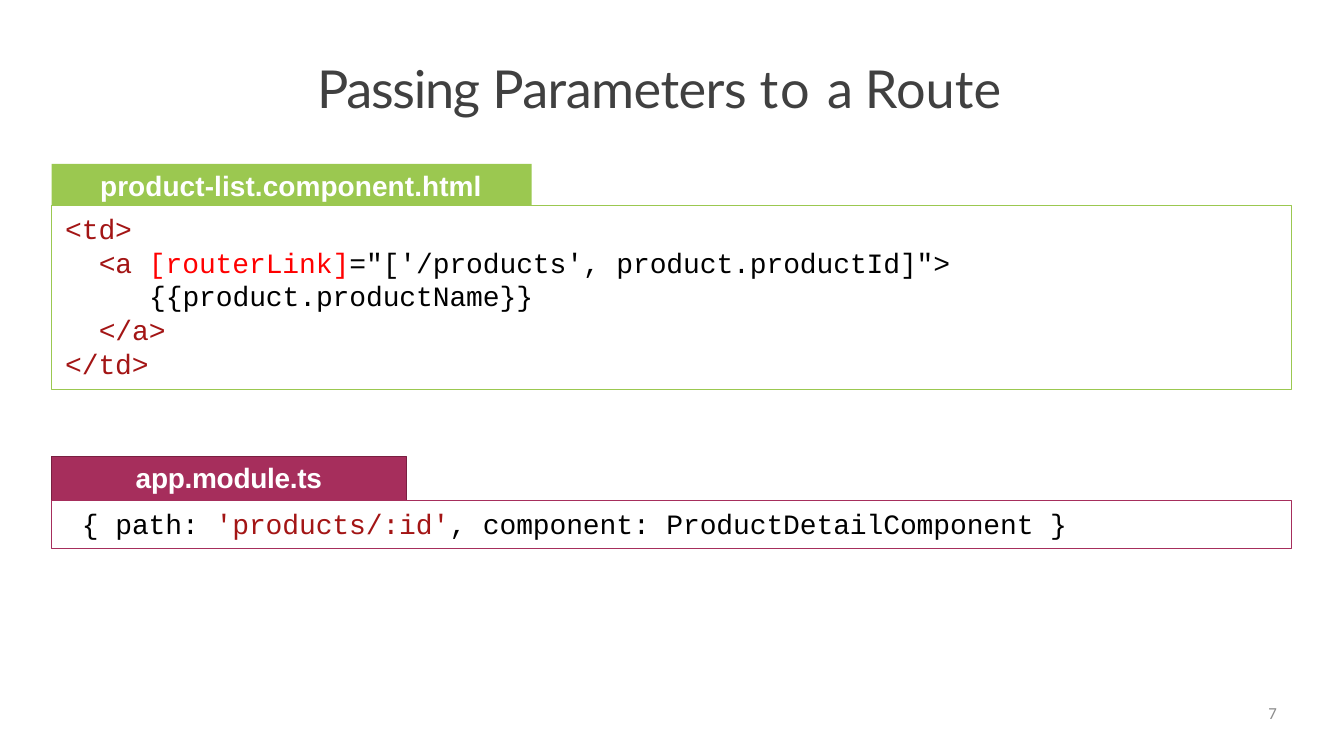
import pptx
import pptx.util
import pptx.dml.color
import pptx.enum.shapes
import pptx.enum.text
from pptx.util import Inches

COLORS = {
    "title": "404040", "white": "FFFFFF", "green": "9BC850",
    "plum": "A62E5C", "plum_dark": "791F41", "tag": "A31515",
    "attribute": "FF0000", "code": "000000", "number": "8C8C8C",
}


def rgb(name):
    return pptx.dml.color.RGBColor.from_string(COLORS[name])


def set_frame(tf, left=0, top=0):
    tf.word_wrap = True
    tf.auto_size = pptx.enum.text.MSO_AUTO_SIZE.NONE
    tf.vertical_anchor = pptx.enum.text.MSO_ANCHOR.TOP
    tf.margin_left, tf.margin_top = Inches(left), Inches(top)
    tf.margin_right = tf.margin_bottom = 0


def format_paragraph(p, indent=0, before=0, align=pptx.enum.text.PP_ALIGN.LEFT):
    p.alignment = align
    p.space_before = pptx.util.Pt(before)
    pPr = p._p.get_or_add_pPr()
    pPr.set("marL", str(Inches(indent)))
    pPr.set("indent", "0")


def add_run(p, text, font, size, color, spacing=0, bold=False):
    """Add a run; spacing is the tracking in points."""
    r = p.add_run()
    r.text = text
    r.font.name, r.font.size, r.font.bold = font, pptx.util.Pt(size), bold
    r.font.color.rgb = rgb(color)
    r._r.get_or_add_rPr().set("spc", str(round(spacing * 100)))


def add_box(s, left, top, width, height, fill=None, line=None):
    sp = s.shapes.add_shape(pptx.enum.shapes.MSO_SHAPE.RECTANGLE, Inches(left),
                            Inches(top), Inches(width), Inches(height))
    sp.shadow.inherit = False
    if fill:
        sp.fill.solid()
        sp.fill.fore_color.rgb = rgb(fill)
    else:
        sp.fill.background()
    if line:
        sp.line.color.rgb = rgb(line)
        sp.line.width = pptx.util.Pt(1)
    else:
        sp.line.fill.background()
    return sp


def add_title(s, left, top, width, height, words):
    sp = s.shapes.title
    sp.left, sp.top = Inches(left), Inches(top)
    sp.width, sp.height = Inches(width), Inches(height)
    set_frame(sp.text_frame, top=0.01)
    p = sp.text_frame.paragraphs[0]
    format_paragraph(p, indent=0.01, before=1)
    for text, spacing in words:
        add_run(p, text, "Lato", 56, "title", spacing)


def add_file_tab(s, left, top, width, height, name, fill, indent, inset, before,
                 spacing, line=None):
    tf = add_box(s, left, top, width, height, fill, line).text_frame
    set_frame(tf, top=inset)
    p = tf.paragraphs[0]
    format_paragraph(p, indent, before)
    add_run(p, name, "Arial", 30, "white", spacing, bold=True)


def add_code(s, left, top, width, height, line, lines, inset, before):
    """Outlined box of code; each line is an indent and its (text, color) runs."""
    tf = add_box(s, left, top, width, height, line=line).text_frame
    set_frame(tf, *inset)
    for i, (indent, runs) in enumerate(lines):
        p = tf.add_paragraph() if i else tf.paragraphs[0]
        format_paragraph(p, indent, 0 if i else before)
        for text, color in runs:
            add_run(p, text, "Courier New", 30, color, -0.1)


def add_slide_number(s, left, top, width, height, number):
    tf = s.shapes.add_textbox(Inches(left), Inches(top), Inches(width),
                              Inches(height)).text_frame
    set_frame(tf)
    p = tf.paragraphs[0]
    format_paragraph(p, align=pptx.enum.text.PP_ALIGN.RIGHT)
    add_run(p, number, "Calibri", 18, "number")


def main():
    prs = pptx.Presentation()
    prs.slide_width, prs.slide_height = Inches(20), Inches(11.25)
    s = prs.slides.add_slide(prs.slide_layouts[5])
    left, width = 0.77, 18.45

    add_title(s, 4.71, 0.82, 10.58, 0.96, [
        ("Passing ", -1.4), ("Parameters ", -0.6), ("to ", 2.1),
        ("a ", -1.7), ("Route", 0.1)])

    add_file_tab(s, left, 2.44, 7.14, 0.62, "product-list.component.html",
                 "green", indent=0.72, inset=0.07, before=4.7, spacing=0.1)
    add_code(s, left, 3.06, width, 2.73, "green", [
        (0, [("<td>", "tag")]),
        (0.5, [("<a ", "tag"), ("[routerLink]", "attribute"),
               ("=\"['/products', product.productId]\">", "code")]),
        (1.25, [("{{product.productName}}", "code")]),
        (0.5, [("</a>", "tag")]),
        (0, [("</td>", "tag")]),
    ], inset=(0.2, 0.09), before=1)

    add_file_tab(s, left, 6.79, 5.28, 0.66, "app.module.ts", "plum",
                 indent=1.25, inset=0.06, before=4.2, spacing=-0.3,
                 line="plum_dark")
    add_code(s, left, 7.45, width, 0.71, "plum", [
        (0.45, [("{ path: ", "code"), ("'products/:id'", "tag"),
                (", component: ProductDetailComponent }", "code")]),
    ], inset=(0, 0.08), before=6.1)

    add_slide_number(s, 14.4, 10.46, 4.6, 0.56, "7")
    prs.save("out.pptx")


if __name__ == "__main__":
    main()
